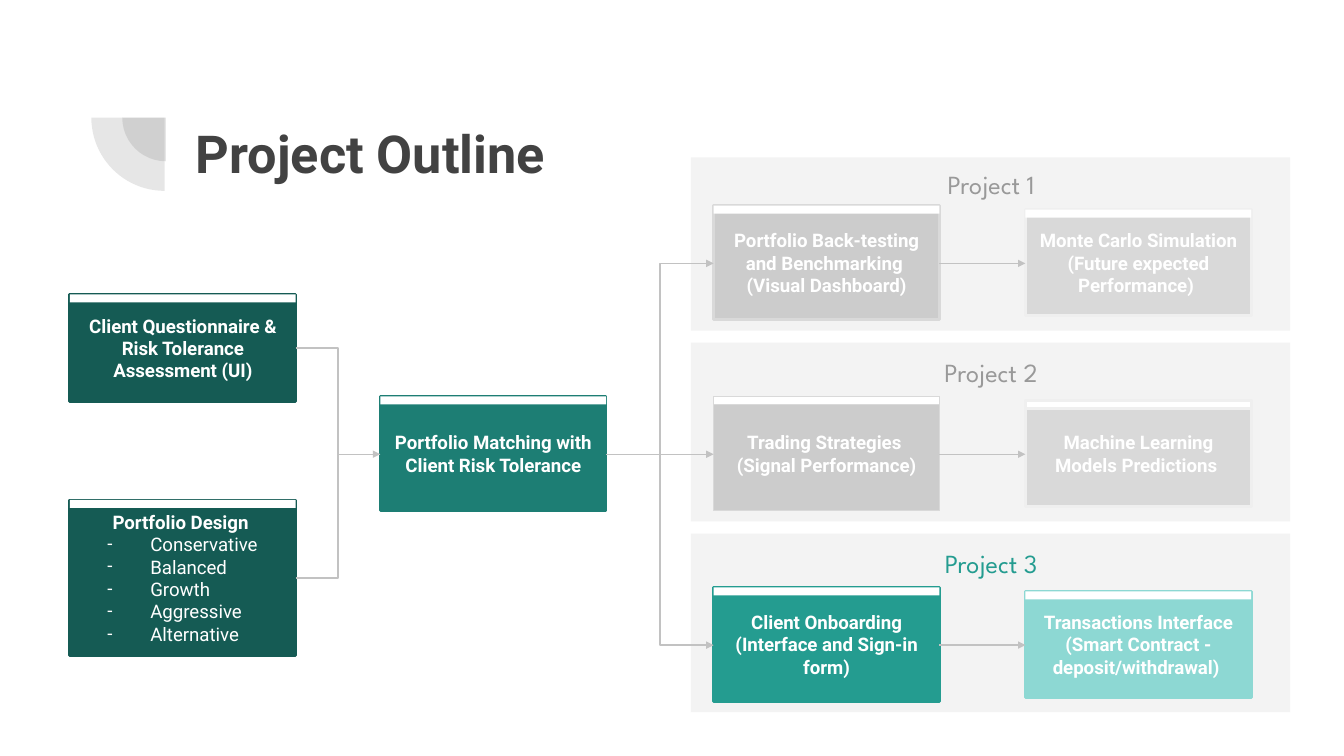
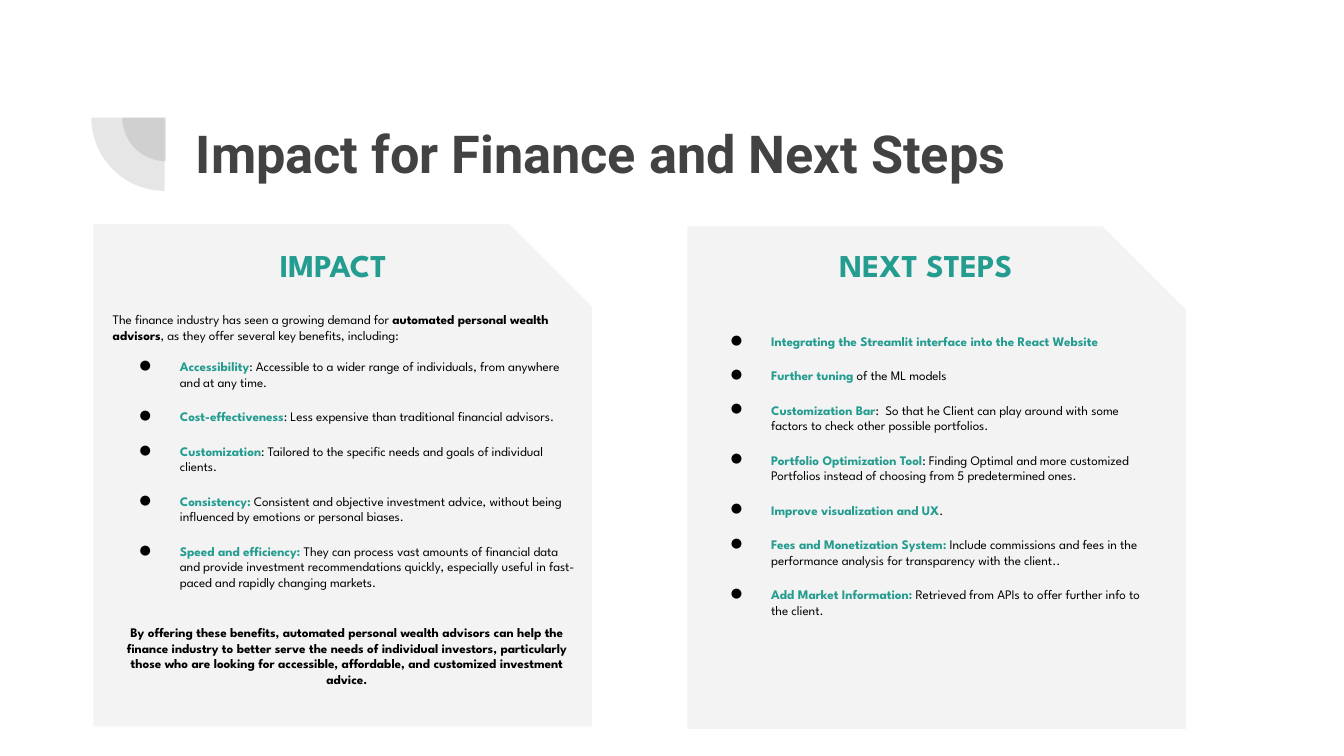
from dataclasses import dataclass
from typing import NamedTuple

from lxml.etree import SubElement
from pptx import Presentation
from pptx.dml.color import RGBColor
from pptx.enum.shapes import MSO_CONNECTOR, MSO_SHAPE
from pptx.enum.text import MSO_ANCHOR, PP_ALIGN
from pptx.oxml.ns import qn
from pptx.util import Emu, Pt

# Shared scale, colours and fonts
EMU_PER_PX = 9144  # 100 px to the inch
COLORS = {
    "white": "FFFFFF", "black": "000000", "title": "424242", "panel": "F3F3F3",
    "deep": "155B54", "mid": "1D7E74", "teal": "249C90", "mint": "8DD8D3",
    "gray": "CCCCCC", "silver": "D9D9D9", "mist": "EFEFEF",
    "label": "999999", "arrow": "C2C2C2",
}
HEADING_FONT = "Roboto"
BODY_FONT = "League Spartan"
INSET = 10


class Area(NamedTuple):
    left: int
    top: int
    width: int
    height: int


class Span(NamedTuple):
    text: str
    color: str
    bold: bool = False


@dataclass
class Line:
    spans: list[Span]
    align: PP_ALIGN = PP_ALIGN.LEFT
    before: float = 0
    bullet: str = ""
    hanging: int = 0


@dataclass
class Step:
    area: Area
    fill: str
    border: str
    lines: list[Line]
    border_pt: float = 1.5
    strip_border: bool = False


class Project(NamedTuple):
    label_color: str
    panel: Area
    label_top: int
    steps: list[Step]


class Link(NamedTuple):
    start: tuple[int, int]
    end: tuple[int, int]
    arrow: bool = True


class Card(NamedTuple):
    heading: str
    heading_left: int
    panel: Area
    body: Area
    body_inset: int
    lines: list[Line]


def px(length: int) -> Emu:
    return Emu(length * EMU_PER_PX)


def rgb(color: str) -> RGBColor:
    return RGBColor.from_string(COLORS[color])


# Drawing functions
def add_block(slide, kind: MSO_SHAPE, area: Area, fill: str,
              border: str = "", border_pt: float = 0.75):
    block = slide.shapes.add_shape(kind, *map(px, area))
    block.shadow.inherit = False
    block.fill.solid()
    block.fill.fore_color.rgb = rgb(fill)
    if border:
        block.line.color.rgb = rgb(border)
        block.line.width = Pt(border_pt)
    else:
        block.line.fill.background()
    return block


def add_bullet(paragraph, line: Line, size: int, font: str) -> None:
    properties = paragraph._p.get_or_add_pPr()
    properties.set("marL", str(px(50)))
    properties.set("indent", str(px(-line.hanging)))
    bullet_color = SubElement(properties, qn("a:buClr"))
    marker_color = "white" if line.bullet == "-" else "black"
    SubElement(bullet_color, qn("a:srgbClr")).set("val", COLORS[marker_color])
    SubElement(properties, qn("a:buSzPts")).set("val", str(size * 100))
    SubElement(properties, qn("a:buFont")).set("typeface", font)
    SubElement(properties, qn("a:buChar")).set("char", line.bullet)


def write(shape, lines: list[Line], size: int, font: str,
          anchor: MSO_ANCHOR = MSO_ANCHOR.TOP, top_inset: int = INSET) -> None:
    frame = shape.text_frame
    frame.word_wrap = True
    frame.vertical_anchor = anchor
    frame.margin_left = frame.margin_right = frame.margin_bottom = px(INSET)
    frame.margin_top = px(top_inset)
    for index, line in enumerate(lines):
        paragraph = frame.paragraphs[0] if index == 0 else frame.add_paragraph()
        paragraph.alignment = line.align
        paragraph.space_before = Pt(line.before)
        if line.bullet:
            add_bullet(paragraph, line, size, font)
        for span in line.spans:
            run = paragraph.add_run()
            run.text = span.text
            run.font.size = Pt(size)
            run.font.name = font
            run.font.bold = span.bold
            run.font.color.rgb = rgb(span.color)


def add_text(slide, area: Area, lines: list[Line], size: int, font: str,
             top_inset: int = INSET) -> None:
    box = slide.shapes.add_textbox(*map(px, area))
    write(box, lines, size, font, top_inset=top_inset)


def add_titled_slide(deck, title: str):
    slide = deck.slides.add_slide(deck.slide_layouts[6])
    for quarter in (Area(91, 55, 65, 65), Area(68, 33, 109, 109)):
        pie = add_block(slide, MSO_SHAPE.PIE, quarter, "title")
        pie.rotation = 270
        pie.adjustments[0], pie.adjustments[1] = 108, 162
        color = pie.fill._xPr.find(qn("a:solidFill"))[0]
        SubElement(color, qn("a:alpha")).set("val", "13000")
    add_text(slide, Area(136, 80, 769, 71), [Line([Span(title, "title", True)])],
             28, HEADING_FONT)
    return slide


def add_step(slide, step: Step) -> None:
    block = add_block(slide, MSO_SHAPE.RECTANGLE, step.area, step.fill,
                      step.border, step.border_pt)
    write(block, step.lines, 10, HEADING_FONT, MSO_ANCHOR.MIDDLE)
    add_block(slide, MSO_SHAPE.RECTANGLE, step.area._replace(height=6), "white",
              step.border if step.strip_border else "", step.border_pt)


def add_link(slide, link: Link) -> None:
    level = link.start[1] == link.end[1]
    kind = MSO_CONNECTOR.STRAIGHT if level else MSO_CONNECTOR.ELBOW
    connector = slide.shapes.add_connector(kind, *map(px, link.start + link.end))
    connector.line.color.rgb = rgb("arrow")
    connector.line.width = Pt(0.75)
    if link.arrow:
        head = SubElement(connector.line._get_or_add_ln(), qn("a:tailEnd"))
        head.set("type", "triangle")
        head.set("w", "sm")
        head.set("len", "sm")
    SubElement(connector._element.spPr, qn("a:effectLst"))


# Line builders
def centered(*texts: str, color: str = "white", bold: bool = True) -> list[Line]:
    return [Line([Span(text, color, bold)], PP_ALIGN.CENTER) for text in texts]


def benefit(lead: str, rest: str = "", before: float = 10) -> Line:
    spans = [Span(lead, "teal", True)]
    if rest:
        spans.append(Span(rest, "black"))
    return Line(spans, before=before, bullet="●", hanging=30)


# Project Outline content
STEP_WIDTH = 168
ROW_PITCH = 142
FIRST_ROW, MATCH_ROW, LAST_ROW = (196 + ROW_PITCH * row for row in range(3))


def first_step(row: int) -> Area:
    return Area(531, 153 + ROW_PITCH * row, STEP_WIDTH, 85)


def second_step(row: int) -> Area:
    return Area(763, 156 + ROW_PITCH * row, STEP_WIDTH, 79)


PORTFOLIOS = ["Conservative", "Balanced", "Growth", "Aggressive", "Alternative"]
CLIENT_STEPS = [
    Step(Area(52, 219, STEP_WIDTH, 80), "deep", "deep",
         centered("Client Questionnaire & Risk Tolerance Assessment (UI)")),
    Step(Area(52, 372, STEP_WIDTH, 116), "deep", "deep",
         centered("Portfolio Design ")
         + [Line([Span(name, "white")], bullet="-", hanging=32) for name in PORTFOLIOS]),
    Step(Area(283, 295, STEP_WIDTH, 85), "mid", "mid",
         centered("Portfolio Matching with Client Risk Tolerance")),
]
PROJECTS = [
    Project("label", Area(514, 117, 446, 129), 115, [
        Step(first_step(0), "gray", "silver",
             centered("Portfolio Back-testing and Benchmarking ", "(Visual Dashboard)")),
        Step(second_step(0), "silver", "mist",
             centered("Monte Carlo Simulation (Future expected Performance) ")),
    ]),
    Project("label", Area(514, 255, 446, 133), 255, [
        Step(first_step(1), "gray", "silver",
             centered("Trading Strategies ", "(Signal Performance)"), 0.75, True),
        Step(second_step(1), "silver", "mist",
             centered("Machine Learning Models Predictions "), strip_border=True),
    ]),
    Project("teal", Area(514, 397, 446, 133), 397, [
        Step(first_step(2), "teal", "teal",
             centered("Client Onboarding (Interface and Sign-in form)")),
        Step(second_step(2), "mint", "mint",
             centered("Transactions Interface (Smart Contract - deposit/withdrawal) ")),
    ]),
]
LINKS = [
    Link((220, 259), (283, MATCH_ROW), arrow=False),
    Link((220, 430), (283, MATCH_ROW)),
    Link((451, MATCH_ROW), (531, FIRST_ROW)),
    Link((451, MATCH_ROW), (531, LAST_ROW)),
    Link((491, MATCH_ROW), (531, MATCH_ROW)),
] + [Link((699, row), (763, row)) for row in (FIRST_ROW, MATCH_ROW, LAST_ROW)]

# Impact and next steps content
CARDS = [
    Card("IMPACT", 151, Area(69, 166, 372, 375), Area(74, 222, 368, 314), INSET, [
        Line([Span("The finance industry has seen a growing demand for ", "black"),
              Span("automated personal wealth advisors", "black", True),
              Span(", as they offer several key benefits, including:", "black")]),
        benefit("Accessibility", ": Accessible to a wider range of individuals, "
                "from anywhere and at any time.", 8.4),
        benefit("Cost-effectiveness",
                ": Less expensive than traditional financial advisors."),
        benefit("Customization",
                ": Tailored to the specific needs and goals of individual clients."),
        benefit("Consistency:", " Consistent and objective investment advice, "
                "without being influenced by emotions or personal biases."),
        benefit("Speed and efficiency:", " They can process vast amounts of financial "
                "data and provide investment recommendations quickly, especially "
                "useful in fast-paced and rapidly changing markets."),
        Line([Span("By offering these benefits, automated personal wealth advisors can "
                   "help the finance industry to better serve the needs of individual "
                   "investors, particularly those who are looking for accessible, "
                   "affordable, and customized investment advice.", "black", True)],
             PP_ALIGN.CENTER, before=18.4),
    ]),
    Card("NEXT STEPS", 592, Area(511, 168, 372, 375), Area(514, 226, 350, 258), 22, [
        benefit("Integrating the Streamlit interface into the React Website", before=0),
        benefit("Further tuning", " of the ML models"),
        benefit("Customization Bar", ":  So that he Client can play around with some "
                "factors to check other possible portfolios."),
        benefit("Portfolio Optimization Tool", ": Finding Optimal and more customized "
                "Portfolios instead of choosing from 5 predetermined ones."),
        benefit("Improve visualization and UX", "."),
        benefit("Fees and Monetization System:", " Include commissions and fees in the "
                "performance analysis for transparency with the client.."),
        benefit("Add Market Information:",
                " Retrieved from APIs to offer further info to the client."),
    ]),
]


def build_outline(deck) -> None:
    slide = add_titled_slide(deck, "Project Outline")
    for step in CLIENT_STEPS:
        add_step(slide, step)
    for number, project in enumerate(PROJECTS, start=1):
        add_block(slide, MSO_SHAPE.RECTANGLE, project.panel, "panel")
        for step in project.steps:
            add_step(slide, step)
        add_text(slide, Area(686, project.label_top, 103, 44),
                 centered(f"Project {number}", color=project.label_color, bold=False),
                 14, BODY_FONT)
    for link in LINKS:
        add_link(slide, link)


def build_impact(deck) -> None:
    slide = add_titled_slide(deck, "Impact for Finance and Next Steps")
    for card in CARDS:
        panel = add_block(slide, MSO_SHAPE.SNIP_1_RECTANGLE, card.panel, "panel", "white")
        panel.adjustments[0] = 1 / 6
        add_text(slide, Area(card.heading_left, 173, 194, 49),
                 centered(card.heading, color="teal"), 17, BODY_FONT)
        add_text(slide, card.body, card.lines, 7, BODY_FONT, card.body_inset)


def main() -> None:
    deck = Presentation()
    deck.slide_width = px(1000)
    deck.slide_height = Emu(deck.slide_width * 9 // 16)
    build_outline(deck)
    build_impact(deck)
    deck.save("out.pptx")


if __name__ == "__main__":
    main()
